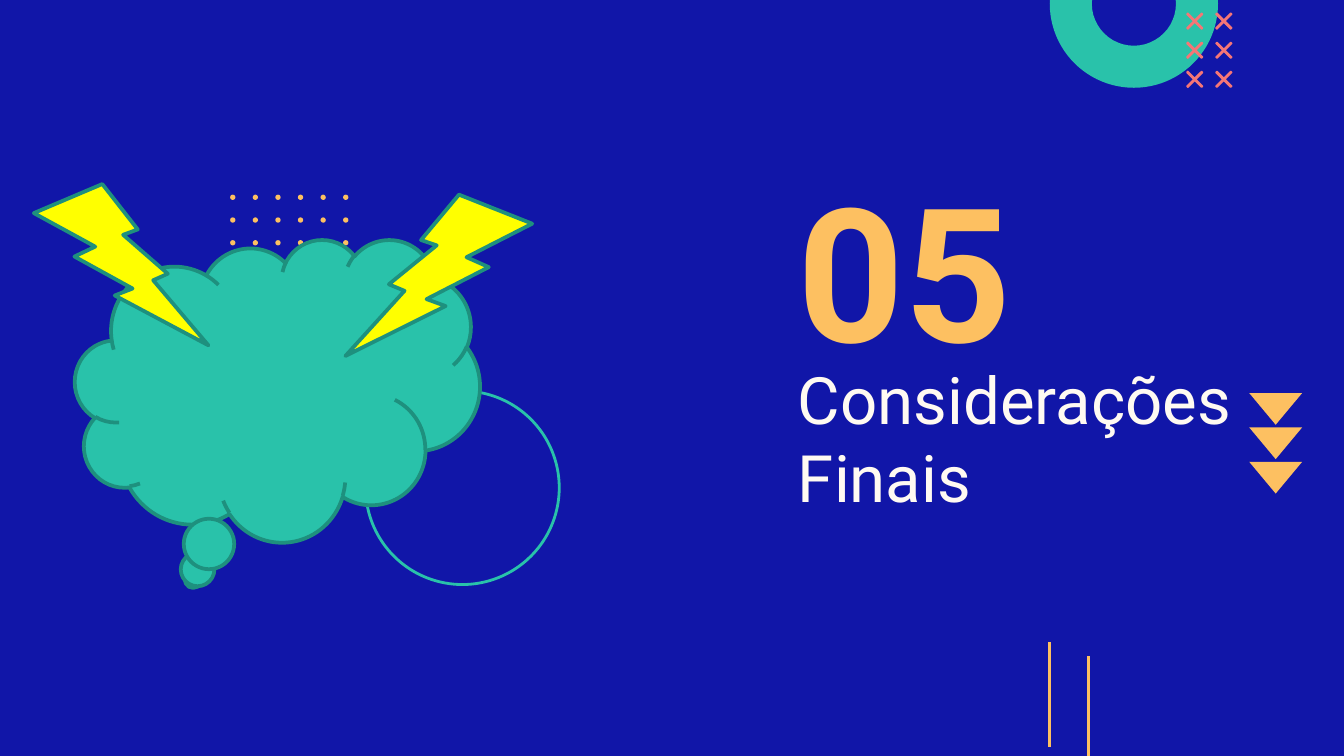
from dataclasses import dataclass
from typing import Optional

from lxml import etree
from pptx import Presentation
from pptx.dml.color import RGBColor
from pptx.enum.shapes import MSO_CONNECTOR, MSO_SHAPE
from pptx.enum.text import MSO_ANCHOR, MSO_AUTO_SIZE, PP_ALIGN
from pptx.oxml.ns import qn
from pptx.util import Cm, Pt

DONUT = MSO_SHAPE.DONUT
OVAL = MSO_SHAPE.OVAL
DOWN_TRIANGLE = MSO_SHAPE.FLOWCHART_MERGE
CLOUD = MSO_SHAPE.CLOUD_CALLOUT
BOLT = MSO_SHAPE.LIGHTNING_BOLT
STRAIGHT = MSO_CONNECTOR.STRAIGHT

BLUE = RGBColor(0x11, 0x16, 0xA8)
TEAL = RGBColor(0x29, 0xC2, 0xAA)
DARK_TEAL = RGBColor(0x1E, 0x90, 0x7E)
CORAL = RGBColor(0xF5, 0x76, 0x76)
ORANGE = RGBColor(0xFD, 0xC0, 0x61)
YELLOW = RGBColor(0xFF, 0xFF, 0x00)
CREAM = RGBColor(0xFF, 0xFA, 0xF2)
FONT = "Roboto"


@dataclass(frozen=True)
class Figure:
    """A preset shape, with its place in centimetres and line width in points."""
    preset: MSO_SHAPE
    left: float
    top: float
    width: float
    height: float
    fill: Optional[RGBColor] = None
    outline: Optional[RGBColor] = None
    line_width: float = 0
    mirrored: bool = False


@dataclass(frozen=True)
class Stripe:
    x: float
    top: float
    bottom: float


RING = Figure(DONUT, 19.84, -1.52, 3.18, 3.18, TEAL)
TRIANGLES = [
    Figure(DOWN_TRIANGLE, 23.61, 7.43 + 0.65 * row, 1, 0.6, ORANGE)
    for row in range(3)
]
DOTS = [
    Figure(OVAL, 4.35 + 0.427 * column, 3.68 + 0.43 * row, 0.1, 0.1, ORANGE)
    for row in range(4) for column in range(6)
]
THOUGHT = [
    Figure(OVAL, 6.91, 7.39, 3.66, 3.66, None, TEAL, 1.5),
    Figure(CLOUD, 1.42, 4.52, 7.65, 5.72, TEAL, DARK_TEAL, 2),
    Figure(BOLT, 0.64, 3.48, 3.3, 3.05, YELLOW, DARK_TEAL, 2),
    Figure(BOLT, 6.53, 3.68, 3.53, 3.05, YELLOW, DARK_TEAL, 2, mirrored=True),
]
STRIPES = [Stripe(20.57, 12.4, 14.38), Stripe(19.84, 12.14, 14.12)]
CROSSES = [
    (22.43 + 0.55 * column, 0.25 + 0.55 * row)
    for row in range(3) for column in range(2)
]
CROSS_SIZE = 0.3
CROSS_ARM = 0.02


def paint(shape, fill: Optional[RGBColor], outline: Optional[RGBColor],
          line_width: float) -> None:
    shape.shadow.inherit = False
    if fill is None:
        shape.fill.background()
    else:
        shape.fill.solid()
        shape.fill.fore_color.rgb = fill
    if outline is None:
        shape.line.fill.background()
    else:
        shape.line.color.rgb = outline
        shape.line.width = Pt(line_width)


def draw_figure(slide, figure: Figure) -> None:
    shape = slide.shapes.add_shape(
        figure.preset, Cm(figure.left), Cm(figure.top),
        Cm(figure.width), Cm(figure.height))
    paint(shape, figure.fill, figure.outline, figure.line_width)
    if figure.mirrored:
        shape.element.spPr.xfrm.set("flipH", "1")


def draw_cross(slide, left: float, top: float) -> None:
    near, far, middle = CROSS_ARM, CROSS_SIZE - CROSS_ARM, CROSS_SIZE / 2
    end = CROSS_SIZE
    corners = [
        (near, 0), (middle, middle - near), (far, 0), (end, near),
        (middle + near, middle), (end, far), (far, end),
        (middle, middle + near), (near, end), (0, far),
        (middle - near, middle), (0, near),
    ]
    points = [(Cm(left + x), Cm(top + y)) for x, y in corners]
    builder = slide.shapes.build_freeform(*points[0])
    builder.add_line_segments(points[1:], close=True)
    paint(builder.convert_to_shape(), CORAL, CORAL, 0.75)


def draw_stripe(slide, stripe: Stripe) -> None:
    line = slide.shapes.add_connector(
        STRAIGHT, Cm(stripe.x), Cm(stripe.top), Cm(stripe.x), Cm(stripe.bottom))
    line.line.color.rgb = ORANGE
    line.line.width = Pt(1.5)
    etree.SubElement(line.element.spPr, qn("a:effectLst"))


def write_text(holder, text: str, *, left: float, top: float, width: float,
               height: float, size: float, color: RGBColor,
               bold: bool = False) -> None:
    holder.left, holder.top = Cm(left), Cm(top)
    holder.width, holder.height = Cm(width), Cm(height)
    frame = holder.text_frame
    frame.text = text
    frame.word_wrap = True
    frame.auto_size = MSO_AUTO_SIZE.NONE
    frame.vertical_anchor = MSO_ANCHOR.MIDDLE
    frame.margin_left = frame.margin_right = Cm(0.25)
    frame.margin_top = frame.margin_bottom = Cm(0.25)
    paragraph = frame.paragraphs[0]
    paragraph.alignment = PP_ALIGN.LEFT
    paragraph.line_spacing = 1.0
    paragraph.space_before = Pt(0)
    font = paragraph.runs[0].font
    font.name, font.size, font.bold = FONT, Pt(size), bold
    font.color.rgb = color


def main() -> None:
    presentation = Presentation()
    presentation.slide_width, presentation.slide_height = Cm(25.4), Cm(14.29)
    slide = presentation.slides.add_slide(presentation.slide_layouts[0])
    slide.background.fill.solid()
    slide.background.fill.fore_color.rgb = BLUE

    write_text(slide.shapes.title, "Considerações Finais", left=14.83, top=7.52,
               width=8.92, height=1.5, size=35, color=CREAM)
    write_text(slide.placeholders[1], "05", left=14.83, top=3.4,
               width=8.03, height=3.33, size=100, color=ORANGE, bold=True)

    draw_figure(slide, RING)
    for left, top in CROSSES:
        draw_cross(slide, left, top)
    for stripe in STRIPES:
        draw_stripe(slide, stripe)
    for figure in TRIANGLES + DOTS + THOUGHT:
        draw_figure(slide, figure)

    presentation.save("out.pptx")


if __name__ == "__main__":
    main()
